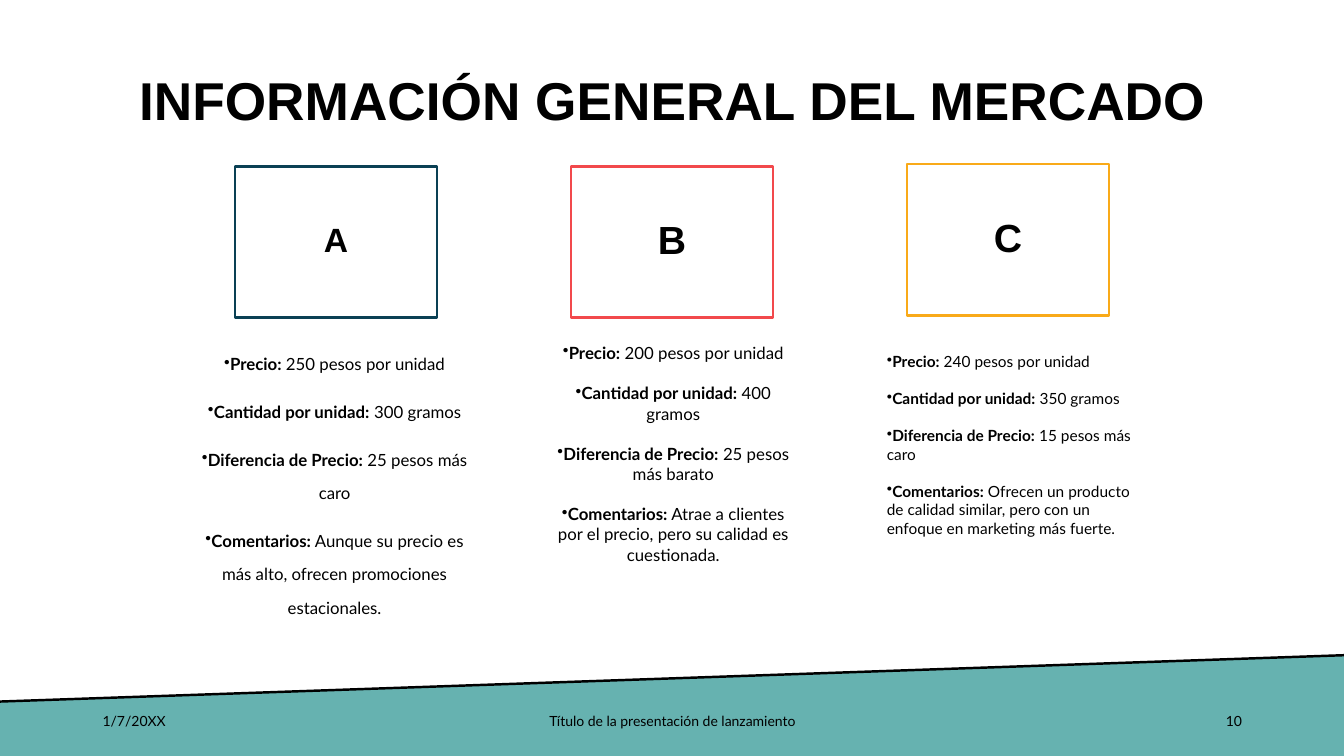
from dataclasses import dataclass

from lxml import etree
from pptx import Presentation
from pptx import util as u
from pptx.dml.color import RGBColor
from pptx.enum import shapes, text
from pptx.oxml.ns import qn


@dataclass(frozen=True)
class Theme:
    """Colours, fonts, type sizes and line width of the deck."""
    ink: str = "000000"
    band: str = "66B2B0"
    navy: str = "0A4054"
    coral: str = "F2494C"
    amber: str = "F9AA19"
    heading: str = "Arial"
    body: str = "Lato"
    title_size: float = 38
    letter_size: float = 28
    small_letter_size: float = 24
    body_size: float = 12
    small_body_size: float = 11
    footer_size: float = 10
    line: float = 1.75


class MarketSlide:
    """Draws elements on one slide, placed on a grid of 40 columns and 30 rows."""

    def __init__(self, deck, theme):
        """Open a title-only slide and work out the grid."""
        self.theme = theme
        self.slide = deck.slides.add_slide(deck.slide_layouts[5])
        self.column = deck.slide_width / 40
        self.row = deck.slide_height / 30

    def place(self, left, top, width, height):
        """Turn grid units into slide lengths."""
        return (round(left * self.column), round(top * self.row),
                round(width * self.column), round(height * self.row))

    def style(self, span, size, font, bold=False):
        """Format one run."""
        span.font.size = u.Pt(size)
        span.font.name = font
        span.font.bold = bold
        span.font.color.rgb = RGBColor.from_string(self.theme.ink)

    def label(self, shape, words, size, font, align, bold=False, leading=None):
        """Put one formatted paragraph in the middle of a shape."""
        frame = shape.text_frame
        frame.text = words
        frame.word_wrap = True
        frame.auto_size = text.MSO_AUTO_SIZE.NONE
        frame.vertical_anchor = text.MSO_ANCHOR.MIDDLE
        para = frame.paragraphs[0]
        para.alignment = align
        para.line_spacing = leading
        self.style(para.runs[0], size, font, bold)

    def title(self, words, *area):
        """Move and format the title placeholder."""
        box = self.slide.shapes.title
        box.left, box.top, box.width, box.height = self.place(*area)
        self.label(box, words, self.theme.title_size, self.theme.heading,
                   text.PP_ALIGN.CENTER, True, 0.9)

    def band(self, left_row, right_row):
        """Draw the slanted footer band and its top edge."""
        start_x, start_y, end_x, _ = self.place(0, left_row, 40, 0)
        _, end_y, _, bottom = self.place(0, right_row, 0, 30)
        builder = self.slide.shapes.build_freeform(start_x, start_y)
        builder.add_line_segments([(end_x, end_y), (end_x, bottom), (start_x, bottom)])
        band = builder.convert_to_shape()
        band.shadow.inherit = False
        band.fill.solid()
        band.fill.fore_color.rgb = RGBColor.from_string(self.theme.band)
        band.line.fill.background()
        edge = self.slide.shapes.add_connector(
            shapes.MSO_CONNECTOR.STRAIGHT, end_x, end_y, start_x, start_y)
        edge.line.color.rgb = RGBColor.from_string(self.theme.ink)
        edge.line.width = u.Pt(self.theme.line)
        etree.SubElement(edge._element.spPr, qn("a:effectLst"))

    def card(self, letter, center, top, color, size):
        """Draw an outlined box with a competitor's letter."""
        card = self.slide.shapes.add_shape(
            shapes.MSO_SHAPE.RECTANGLE, *self.place(center - 3, top, 6, 6))
        card.shadow.inherit = False
        card.fill.background()
        card.line.color.rgb = RGBColor.from_string(color)
        card.line.width = u.Pt(self.theme.line)
        self.label(card, letter, size, self.theme.heading, text.PP_ALIGN.CENTER, True, 0.9)

    def facts(self, items, area, size, align, anchor, gap, leading=None):
        """Add a bulleted list of bold labels and their values."""
        frame = self.slide.shapes.add_textbox(*self.place(*area)).text_frame
        frame.word_wrap = True
        frame.vertical_anchor = anchor
        for index, (label, value) in enumerate(items):
            para = frame.add_paragraph() if index else frame.paragraphs[0]
            properties = para._p.get_or_add_pPr()
            properties.set("marL", "0")
            properties.set("indent", "0")
            etree.SubElement(properties, qn("a:buChar")).set("char", "•")
            para.alignment = align
            para.line_spacing = leading
            para.space_before = u.Pt(gap if index else 0)
            for words, bold in ((f"{label}:", True), (f" {value}", False)):
                span = para.add_run()
                span.text = words
                self.style(span, size, self.theme.body, bold)

    def footer(self, words, left, width, align):
        """Add one footer entry."""
        box = self.slide.shapes.add_textbox(*self.place(left, 27.8, width, 1.6))
        self.label(box, words, self.theme.footer_size, self.theme.body, align)


def main():
    """Build the market overview slide."""
    deck = Presentation()
    deck.slide_width, deck.slide_height = u.Inches(13.33), u.Inches(7.5)
    theme = Theme()
    page = MarketSlide(deck, theme)
    align, anchor = text.PP_ALIGN, text.MSO_ANCHOR

    page.band(27.84, 26)
    page.title("INFORMACIÓN GENERAL DEL MERCADO", 2.76, 1.2, 34.5, 5.8)

    page.card("A", 10, 6.6, theme.navy, theme.small_letter_size)
    page.card("B", 20, 6.6, theme.coral, theme.letter_size)
    page.card("C", 30, 6.52, theme.amber, theme.letter_size)

    labels = ("Precio", "Cantidad por unidad", "Diferencia de Precio", "Comentarios")
    values_a = ("250 pesos por unidad", "300 gramos", "25 pesos más caro",
                "Aunque su precio es más alto, ofrecen promociones estacionales.")
    values_b = ("200 pesos por unidad", "400 gramos", "25 pesos más barato",
                "Atrae a clientes por el precio, pero su calidad es cuestionada.")
    values_c = ("240 pesos por unidad", "350 gramos", "15 pesos más caro",
                "Ofrecen un producto de calidad similar, pero con un enfoque "
                "en marketing más fuerte.")
    page.facts(zip(labels, values_a), (5.46, 13.32, 9, 12), theme.body_size,
               align.CENTER, anchor.TOP, 10, u.Pt(24))
    page.facts(zip(labels, values_b), (16.17, 13.36, 7.74, 9.28), theme.body_size,
               align.CENTER, anchor.MIDDLE, 14.4)
    page.facts(zip(labels, values_c), (26.1, 13.76, 8.4, 7.8), theme.small_body_size,
               align.LEFT, anchor.MIDDLE, 13.2)

    page.footer("1/7/20XX", 2.76, 9, align.LEFT)
    page.footer("Título de la presentación de lanzamiento", 13.26, 13.5, align.CENTER)
    page.footer("10", 28.26, 9, align.RIGHT)
    deck.save("out.pptx")


if __name__ == "__main__":
    main()
